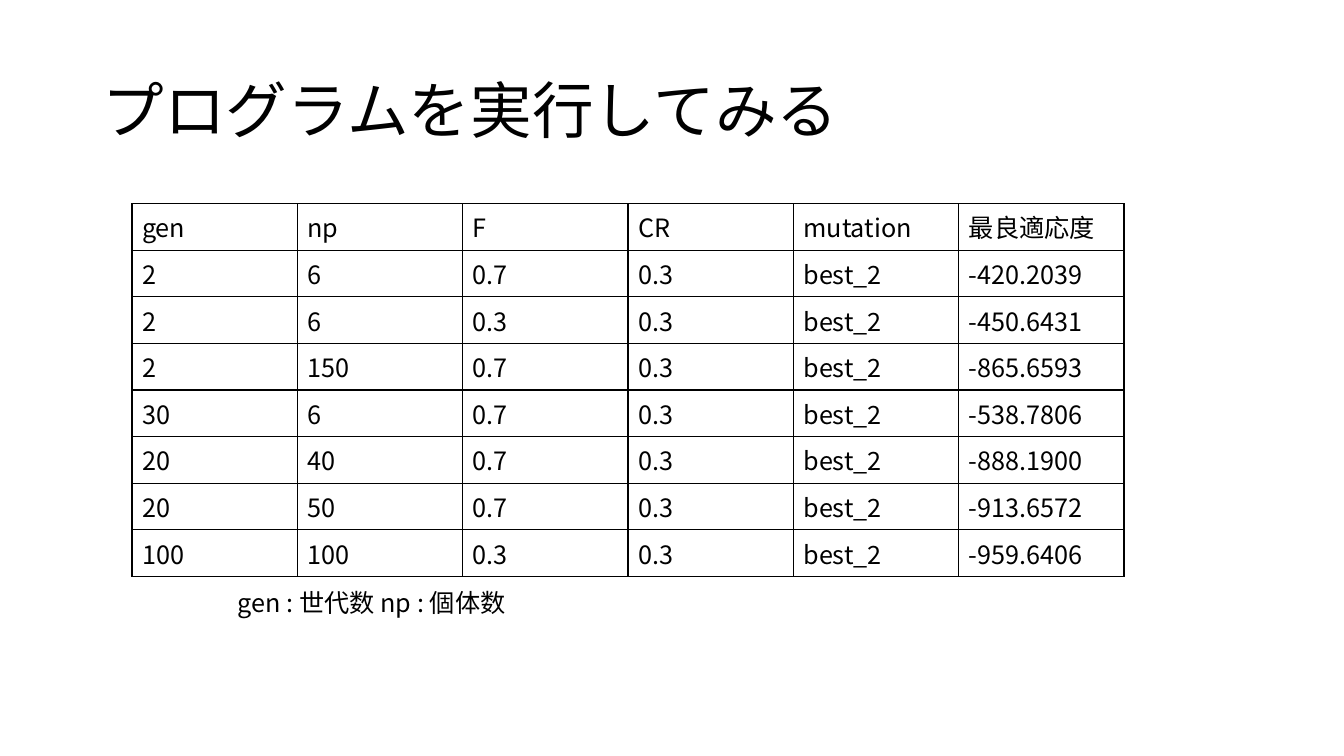
from lxml import etree
from pptx import Presentation
from pptx.dml.color import RGBColor
from pptx.enum.text import MSO_ANCHOR, MSO_AUTO_SIZE
from pptx.oxml.ns import qn
from pptx.util import Inches, Pt

BLACK = RGBColor(0x00, 0x00, 0x00)
MIDDLE = MSO_ANCHOR.MIDDLE
TOP = MSO_ANCHOR.TOP
GROW = MSO_AUTO_SIZE.SHAPE_TO_FIT_TEXT
NO_FIT = MSO_AUTO_SIZE.NONE

RESULTS = [
    ("gen", "np", "F", "CR", "mutation", "最良適応度"),
    ("2", "6", "0.7", "0.3", "best_2", "-420.2039"),
    ("2", "6", "0.3", "0.3", "best_2", "-450.6431"),
    ("2", "150", "0.7", "0.3", "best_2", "-865.6593"),
    ("30", "6", "0.7", "0.3", "best_2", "-538.7806"),
    ("20", "40", "0.7", "0.3", "best_2", "-888.1900"),
    ("20", "50", "0.7", "0.3", "best_2", "-913.6572"),
    ("100", "100", "0.3", "0.3", "best_2", "-959.6406"),
]


class SlideBuilder:
    """Holds the style and the current slide."""

    font_name = "Noto Sans CJK JP"
    color = BLACK
    border_width = Pt(1)

    def __init__(self, page):
        self.page = page

    def add_span(self, frame, text, size):
        para = frame.paragraphs[0]
        span = para.add_run()
        span.text = text
        for name, value in {"name": self.font_name, "size": Pt(size)}.items():
            setattr(span.font, name, value)
        span.font.color.rgb = self.color
        # East Asian glyphs take their typeface from a separate element
        east_asian = etree.SubElement(span.font._element, qn("a:ea"))
        east_asian.set("typeface", self.font_name)
        return para

    def text(self, place, text, size, anchor=TOP, fit=NO_FIT, spacing=1.0):
        box = self.page.shapes.add_textbox(*map(Inches, place))
        frame = box.text_frame
        frame_format = {"word_wrap": True, "auto_size": fit, "vertical_anchor": anchor}
        for name, value in frame_format.items():
            setattr(frame, name, value)
        self.add_span(frame, text, size).line_spacing = spacing

    def border(self, cell):
        properties = cell._tc.get_or_add_tcPr()
        for side in ("a:lnL", "a:lnR", "a:lnT", "a:lnB"):
            line = etree.SubElement(properties, qn(side), w=str(self.border_width))
            fill = etree.SubElement(line, qn("a:solidFill"))
            etree.SubElement(fill, qn("a:srgbClr"), val=str(self.color))

    def table(self, left, top, column_width, row_height, rows, size):
        column_count, row_count = len(rows[0]), len(rows)
        table = self.page.shapes.add_table(
            row_count, column_count, Inches(left), Inches(top),
            Inches(column_width * column_count), Inches(row_height * row_count),
        ).table
        for name in ("first_row", "horz_banding"):
            setattr(table, name, False)
        for row_index, row in enumerate(rows):
            for column_index, text in enumerate(row):
                cell = table.cell(row_index, column_index)
                self.add_span(cell.text_frame, text, size)
                self.border(cell)
                cell.fill.background()


def main():
    deck = Presentation()
    deck.slide_width, deck.slide_height = Inches(13.33), Inches(7.5)
    builder = SlideBuilder(deck.slides.add_slide(deck.slide_layouts[6]))

    # Title
    builder.text((0.92, 0.4, 11.5, 1.45), "プログラムを実行してみる", 44,
                 anchor=MIDDLE, spacing=0.9)

    # Results of the runs
    builder.table(1.31, 2.02, 1.64, 0.46, RESULTS, 18)

    # Legend for the column names
    builder.text((2.26, 5.78, 8.82, 0.4), "gen : 世代数 np : 個体数", 18, fit=GROW)

    deck.save("out.pptx")


if __name__ == "__main__":
    main()
